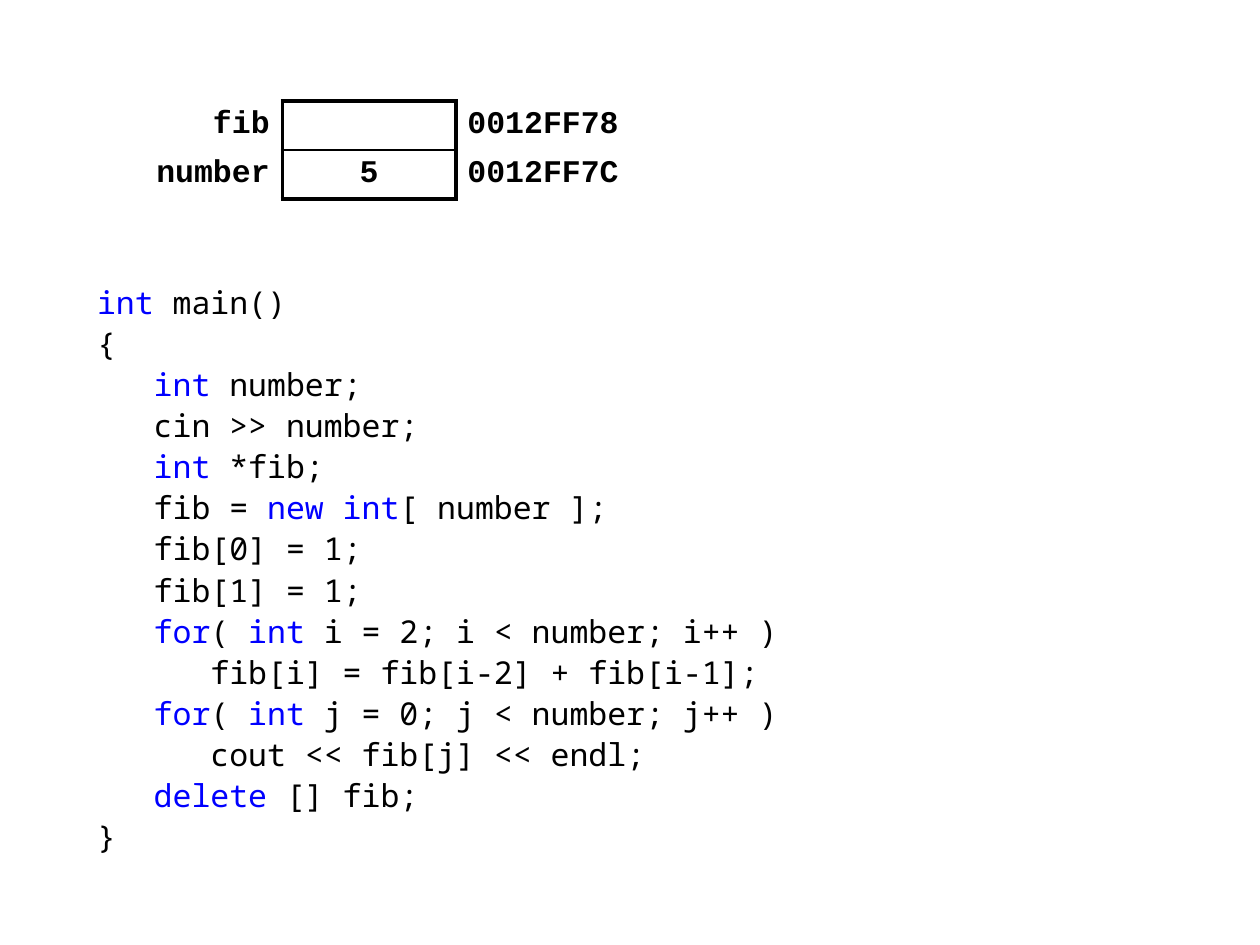
from pptx import Presentation
from pptx.dml.color import RGBColor
from pptx.enum.text import MSO_ANCHOR, MSO_AUTO_SIZE, PP_ALIGN
from pptx.oxml.ns import qn
from pptx.util import Inches, Pt
from lxml.etree import SubElement

BLACK = RGBColor(0, 0, 0)
BLUE = RGBColor(0, 0, 255)
THICK, THIN = 2.25, 1

CODE = [
    "|int| main()",
    "{",
    "   |int| number;",
    "   cin >> number;",
    "   |int| *fib;",
    "   fib = |new int|[ number ];",
    "   fib[0] = 1;",
    "   fib[1] = 1;",
    "   |for|( |int |i = 2; i < number; i++ )",
    "      fib[i] = fib[i-2] + fib[i-1];",
    "   |for|( |int| j = 0; j < number; j++ )",
    "      cout << fib[j] << endl;",
    "   |delete| [] fib;",
    "}",
]
ROWS = [("fib", "", "0012FF78"), ("number", "5", "0012FF7C")]
WIDTHS = [1.18, 1.38, 1.38]


def set_font(font, name, color, bold=False):
    font.name = name
    font.size = Pt(18)
    font.bold = bold
    font.color.rgb = color


def add_line(para, text):
    props = para._p.get_or_add_pPr()
    props.set("marL", "0")
    props.set("indent", "0")
    SubElement(props, qn("a:buNone"))
    para.line_spacing = Pt(23.47)
    para.space_before = Pt(0)
    for place, part in enumerate(text.split("|")):
        if part:
            run = para.add_run()
            run.text = part
            set_font(run.font, "Noto Sans Mono", BLUE if place % 2 else BLACK)


def add_code(slide):
    body = slide.placeholders[1]
    body.left, body.top = Inches(0.67), Inches(2.17)
    body.width, body.height = Inches(5.71), Inches(4.73)
    frame = body.text_frame
    frame.auto_size = MSO_AUTO_SIZE.NONE
    frame.word_wrap = True
    frame.vertical_anchor = MSO_ANCHOR.TOP
    for place, text in enumerate(CODE):
        para = frame.add_paragraph() if place else frame.paragraphs[0]
        add_line(para, text)


def set_edges(cell, edges):
    props = cell._tc.get_or_add_tcPr()
    for side in "LRTB":
        width = edges.get(side)
        line = SubElement(props, qn(f"a:ln{side}"), w=str(Pt(width or 0)))
        if width:
            fill = SubElement(line, qn("a:solidFill"))
            SubElement(fill, qn("a:srgbClr"), val=str(BLACK))
        else:
            SubElement(line, qn("a:noFill"))


def fill_cell(cell, text, align, inset, edges):
    set_edges(cell, edges)
    cell.fill.background()
    cell.vertical_anchor = MSO_ANCHOR.MIDDLE
    cell.margin_left = cell.margin_right = Inches(inset)
    cell.margin_top = cell.margin_bottom = Inches(0.04)
    para = cell.text_frame.paragraphs[0]
    para.text = text
    para.alignment = align
    set_font(para.font, "Courier New", BLACK, True)
    for run in para.runs:
        set_font(run.font, "Courier New", BLACK, True)


def add_memory(slide):
    high = Inches(0.39)
    table = slide.shapes.add_table(
        len(ROWS), len(WIDTHS), Inches(1.06), Inches(0.8),
        Inches(sum(WIDTHS)), high * len(ROWS)).table
    table.first_row = table.horz_banding = False
    for col, width in zip(table.columns, WIDTHS):
        col.width = Inches(width)
    for y, row in enumerate(ROWS):
        table.rows[y].height = high
        box = {"L": THICK, "R": THICK,
               "T": THIN if y else THICK, "B": THICK if y else THIN}
        styles = [(PP_ALIGN.RIGHT, 0.1, {"R": THICK}),
                  (PP_ALIGN.CENTER, 0.08, box),
                  (PP_ALIGN.CENTER, 0.08, {"L": THICK})]
        for x, text in enumerate(row):
            fill_cell(table.cell(y, x), text, *styles[x])


def main():
    deck = Presentation()
    deck.slide_width, deck.slide_height = Inches(10), Inches(7.5)
    slide = deck.slides.add_slide(deck.slide_layouts[1])
    title = slide.shapes.title.element
    title.getparent().remove(title)
    add_code(slide)
    add_memory(slide)
    deck.save("out.pptx")


if __name__ == "__main__":
    main()
